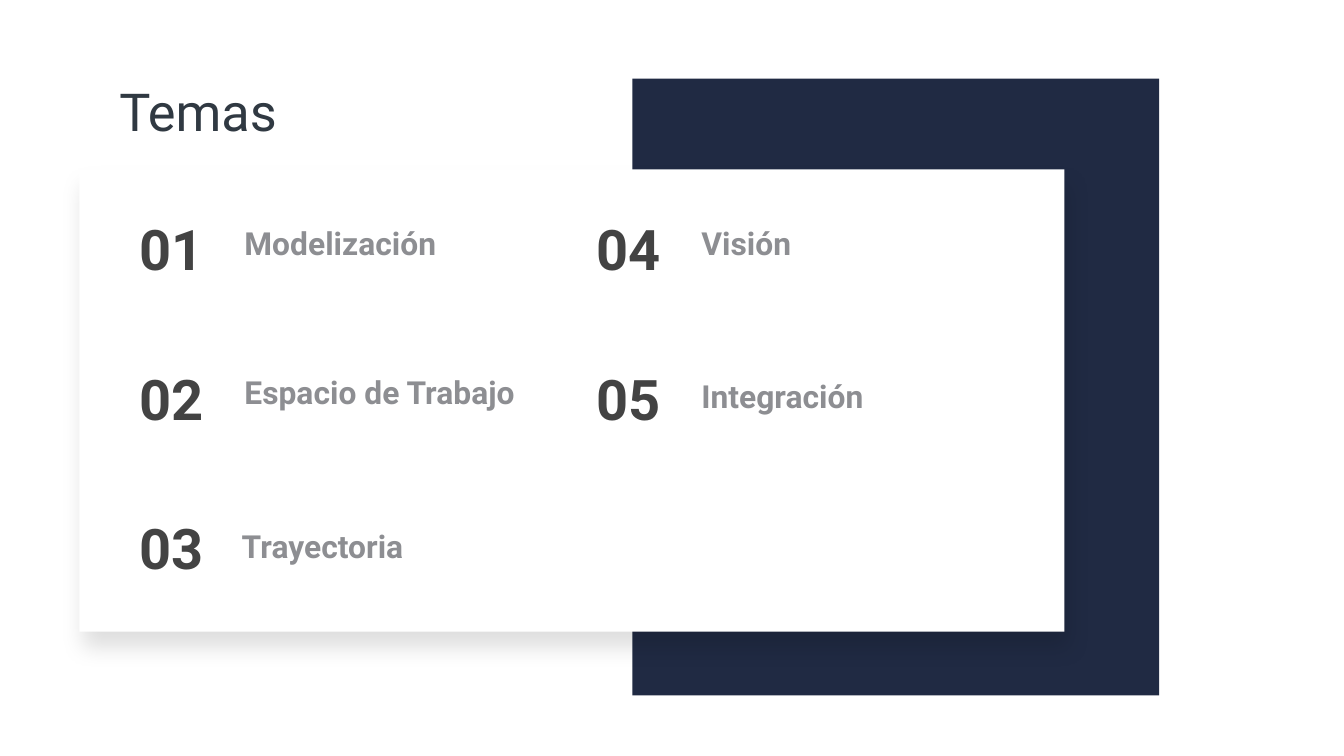
import dataclasses

import lxml.etree
import pptx
import pptx.dml.color
import pptx.enum.shapes
import pptx.enum.text
import pptx.oxml.ns
import pptx.util

Inches = pptx.util.Inches
ALIGN = pptx.enum.text.PP_ALIGN
ANCHOR = pptx.enum.text.MSO_ANCHOR


@dataclasses.dataclass(frozen=True)
class Theme:
    font: str = "Roboto"
    navy: str = "202A43"
    white: str = "FFFFFF"
    black: str = "000000"
    ink: str = "303942"
    dark: str = "434343"
    gray: str = "8D8E92"
    head: int = 28
    digit: int = 30
    label: int = 17


THEME = Theme()
TOPICS = [
    ("Modelización", 1.72, 1.63),
    ("Espacio de Trabajo", 1.72, 2.74),
    ("Trayectoria", 1.7, 3.88),
    ("Visión", 5.12, 1.63),
    ("Integración", 5.12, 2.77),
]
ROWS = 3


def get_rgb(value):
    return pptx.dml.color.RGBColor.from_string(value)


def add_panel(slide, box, color):
    kind = pptx.enum.shapes.MSO_SHAPE.RECTANGLE
    panel = slide.shapes.add_shape(kind, *map(Inches, box))
    panel.shadow.inherit = False
    panel.fill.solid()
    panel.fill.fore_color.rgb = get_rgb(color)
    panel.line.fill.background()
    return panel


def add_shadow(panel, color, alpha, blur, gap, angle):
    tag = pptx.oxml.ns.qn
    effects = panel.element.spPr.find(tag("a:effectLst"))
    shadow = lxml.etree.SubElement(
        effects,
        tag("a:outerShdw"),
        blurRad=str(pptx.util.Pt(blur)),
        dist=str(pptx.util.Pt(gap)),
        dir=str(angle * 60000),
        algn="bl",
        rotWithShape="0",
    )
    tint = lxml.etree.SubElement(shadow, tag("a:srgbClr"), val=color)
    lxml.etree.SubElement(tint, tag("a:alpha"), val=str(alpha * 1000))


def add_text(slide, box, text, size, color, bold=True,
             align=ALIGN.LEFT, anchor=ANCHOR.TOP):
    frame = slide.shapes.add_textbox(*map(Inches, box)).text_frame
    frame.word_wrap = True
    frame.vertical_anchor = anchor
    frame.margin_left = frame.margin_right = Inches(0.1)
    frame.margin_top = frame.margin_bottom = Inches(0.1)
    para = frame.paragraphs[0]
    para.alignment = align
    run = para.add_run()
    run.text = text
    run.font.name = THEME.font
    run.font.size = pptx.util.Pt(size)
    run.font.bold = bold
    run.font.color.rgb = get_rgb(color)


def add_topic(slide, index, label, left, top):
    col, row = divmod(index, ROWS)
    box = (0.93 + 3.4 * col, 1.53 + 2.23 * row / 2, 0.69, 0.63)
    add_text(slide, box, f"{index + 1:02}", THEME.digit, THEME.dark,
             align=ALIGN.CENTER, anchor=ANCHOR.MIDDLE)
    add_text(slide, (left, top, 2.52, 0.42), label, THEME.label, THEME.gray,
             anchor=ANCHOR.BOTTOM)


def main():
    deck = pptx.Presentation()
    deck.slide_width = Inches(10)
    deck.slide_height = Inches(10 * 9 / 16)
    slide = deck.slides.add_slide(deck.slide_layouts[6])
    slide.background.fill.solid()
    slide.background.fill.fore_color.rgb = get_rgb(THEME.white)

    back = add_panel(slide, (4.37, 0.92, 4.59, 3.92), THEME.navy)
    back.rotation = 90
    card = add_panel(slide, (0.59, 1.26, 7.33, 3.44), THEME.white)
    add_shadow(card, THEME.black, alpha=13, blur=12.4, gap=9, angle=76)
    add_text(slide, (0.79, 0.49, 8.43, 0.63), "Temas", THEME.head, THEME.ink,
             bold=False)
    for index, topic in enumerate(TOPICS):
        add_topic(slide, index, *topic)
    deck.save("out.pptx")


if __name__ == "__main__":
    main()
